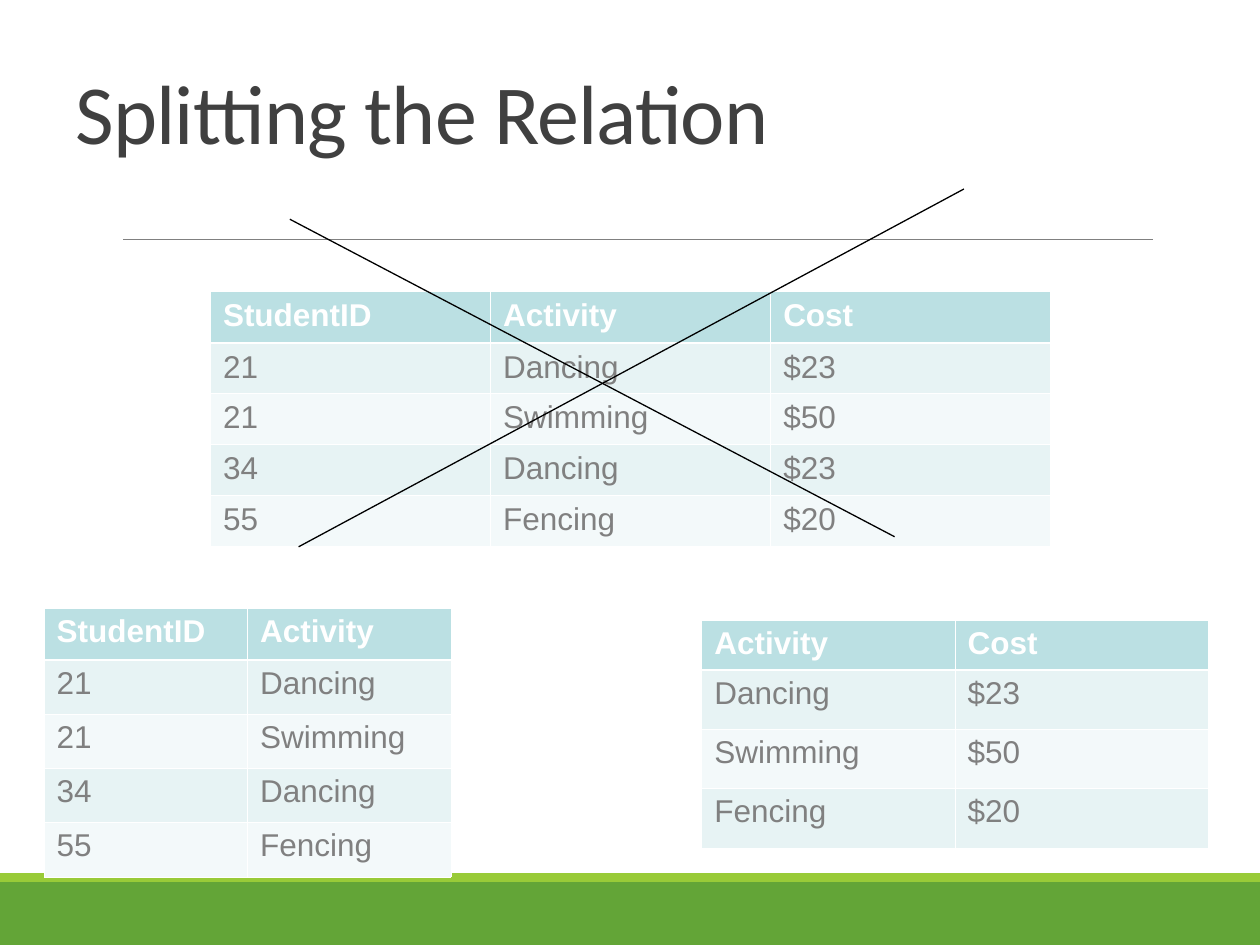
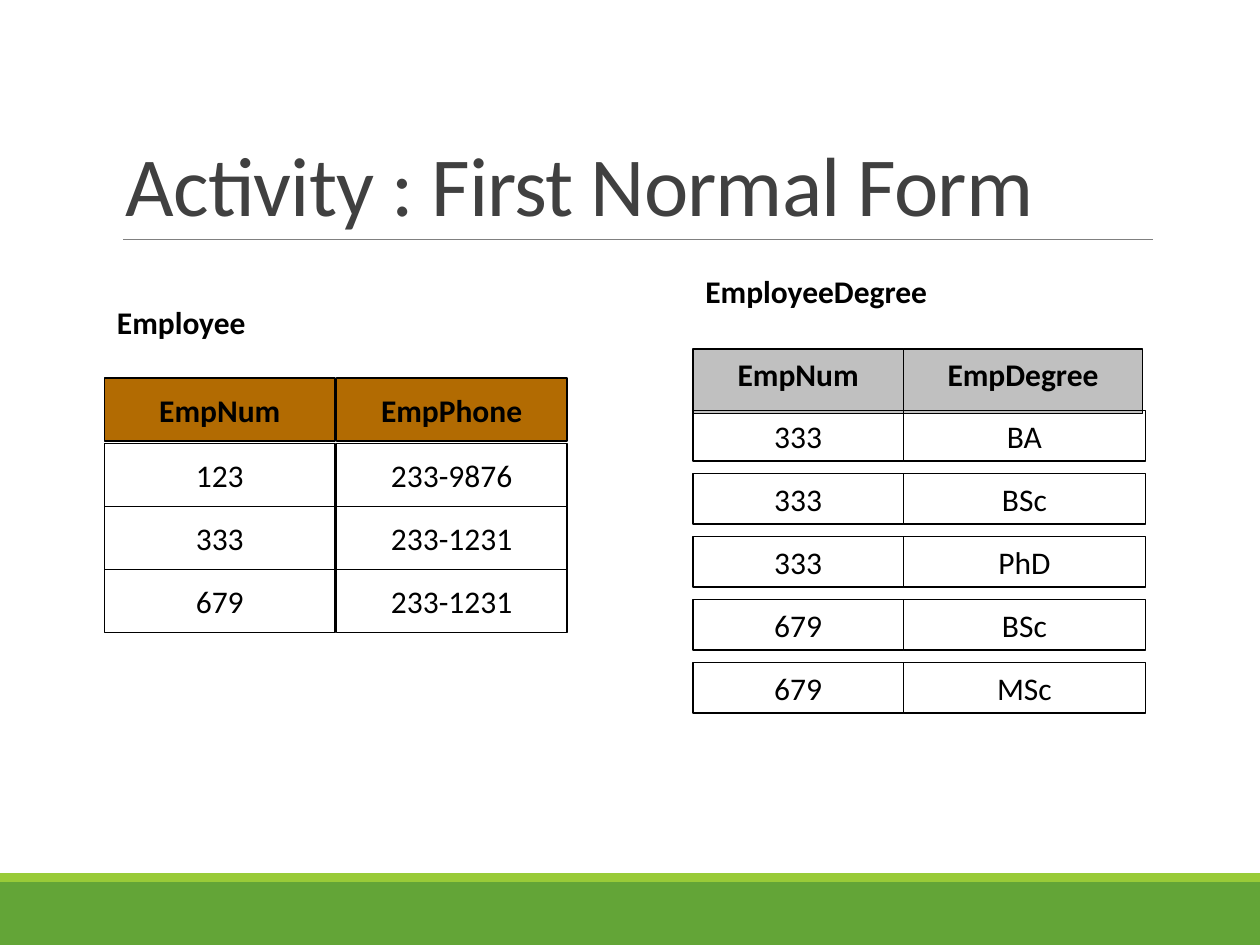
from dataclasses import dataclass
from lxml.etree import SubElement as Sub
from pptx import Presentation
from pptx.dml.color import RGBColor as RGB
from pptx.enum.shapes import MSO_CONNECTOR as Conn, MSO_SHAPE as Shape
from pptx.enum.text import MSO_ANCHOR as Anchor, PP_ALIGN as Align
from pptx.oxml import parse_xml
from pptx.oxml.ns import nsdecls, qn
from pptx.util import Inches, Pt


@dataclass(frozen=True)
class Theme:
    green: str = "63A537"
    lime: str = "99CB38"
    rule: str = "808080"
    title: str = "404040"
    ink: str = "000000"
    white: str = "FFFFFF"
    head: str = "BBE0E3"
    odd: str = "E7F3F4"
    even: str = "F3F9FA"
    grey: str = "C0C0C0"
    brown: str = "B26B02"
    sans: str = "Calibri"
    grid: str = "Arial"
    big: int = 48
    body: int = 18


look = Theme()


def write(frame, text, font=look.sans, size=look.body, color=look.ink, bold=False,
          align=Align.LEFT, anchor=Anchor.TOP, space=1.0, track=0):
    frame.word_wrap = True
    frame.vertical_anchor = anchor
    para = frame.paragraphs[0]
    para.alignment = align
    para.line_spacing = space
    run = para.add_run()
    run.text = text
    run.font.name = font
    run.font.size = Pt(size)
    run.font.bold = bold
    run.font.color.rgb = RGB.from_string(color)
    if track:
        run.font._element.set("spc", str(track))


def draw(slide, ends, color, width):
    line = slide.shapes.add_connector(Conn.STRAIGHT, *map(Inches, ends))
    line.line.color.rgb = RGB.from_string(color)
    line.line.width = Pt(width)
    Sub(line._element.spPr, qn("a:effectLst"))


deck = Presentation()
deck.slide_width, deck.slide_height = Inches(10), Inches(7.5)

heads = [
    ("Splitting the Relation", (0.5, 0.3, 9, 1.03)),
    ("Activity : First Normal Form", (0.9, 0.31, 8.25, 1.59)),
]
bands = [(7, 0.5, look.green), (6.93, 0.07, look.lime)]
slides = []
for title, spot in heads:
    slide = deck.slides.add_slide(deck.slide_layouts[6])
    slides.append(slide)
    for top, high, color in bands:
        band = slide.shapes.add_shape(Shape.RECTANGLE, 0, Inches(top), Inches(10), Inches(high))
        band.shadow.inherit = False
        band.fill.solid()
        band.fill.fore_color.rgb = RGB.from_string(color)
        band.line.fill.background()
    draw(slide, (0.98, 1.9, 9.15, 1.9), look.rule, 0.5)
    box = slide.shapes.add_textbox(*map(Inches, spot))
    write(box.text_frame, title, size=look.big, color=look.title,
          anchor=Anchor.BOTTOM, space=0.85, track=-50)

split, normal = slides

pairs = [("21", "Dancing"), ("21", "Swimming"), ("34", "Dancing"), ("55", "Fencing")]
costs = {"Dancing": "$23", "Swimming": "$50", "Fencing": "$20"}
whole = [("StudentID", "Activity", "Cost")] + [(who, act, costs[act]) for who, act in pairs]
tables = [
    (whole, (1.67, 2.31, 6.67), 0.41, 0.405, 0.07),
    ([("StudentID", "Activity")] + pairs, (0.35, 4.83, 3.23), 0.41, 0.43, 0.06),
    ([("Activity", "Cost")] + list(costs.items()), (5.57, 4.92, 4.02), 0.4, 0.47, 0.06),
]
for rows, (left, top, wide), first, step, pad in tables:
    high = first + step * (len(rows) - 1)
    table = split.shapes.add_table(len(rows), len(rows[0]), Inches(left), Inches(top),
                                   Inches(wide), Inches(high)).table
    for col in table.columns:
        col.width = Inches(wide / len(rows[0]))
    for r, row in enumerate(rows):
        table.rows[r].height = Inches(step if r else first)
        fill = look.head if r == 0 else look.odd if r % 2 else look.even
        for c, text in enumerate(row):
            cell = table.cell(r, c)
            cell.margin_top = Inches(pad)
            cell.fill.solid()
            cell.fill.fore_color.rgb = RGB.from_string(fill)
            write(cell.text_frame, text, font=look.grid, bold=r == 0, space=0.94,
                  color=look.rule if r else look.white)
            edges = {"L": 0.45, "R": 0.45, "T": 1.47 if r == 1 else 0.45,
                     "B": 0.45 if r else 1.47}
            for i, (side, width) in enumerate(edges.items()):
                cell._tc.tcPr.insert(i, parse_xml(
                    f'<a:ln{side} {nsdecls("a")} w="{Pt(width)}"><a:solidFill>'
                    f'<a:srgbClr val="{look.white}"/></a:solidFill></a:ln{side}>'))

for ends in [(7.65, 1.5, 2.37, 4.34), (2.3, 1.74, 7.1, 4.26)]:
    draw(split, ends, look.ink, 0.75)

phones = [("EmpNum", "EmpPhone"), ("123", "233-9876"), ("333", "233-1231"), ("679", "233-1231")]
ranks = [("EmpNum", "EmpDegree"), ("333", "BA"), ("333", "BSc"), ("333", "PhD"),
         ("679", "BSc"), ("679", "MSc")]
grids = [
    (ranks, (5.5, 7.17), (1.67, 1.9), (1.67, 1.92), 2.77, 0.51, 3.26, 0.4,
     look.grey, Anchor.TOP),
    (phones, (0.83, 2.67), (1.83, 1.83), (1.83, 1.83), 3, 0.5, 3.52, 0.5,
     look.brown, Anchor.MIDDLE),
]
for rows, lefts, caps, wides, top, tall, start, high, color, anchor in grids:
    for r, row in enumerate(rows):
        for c, text in enumerate(row):
            spot = ((lefts[c], start + 0.5 * (r - 1), wides[c], high) if r
                    else (lefts[c], top, caps[c], tall))
            box = normal.shapes.add_shape(Shape.RECTANGLE, *map(Inches, spot))
            box.shadow.inherit = False
            box.line.color.rgb = RGB.from_string(look.ink)
            box.line.width = Pt(0.75)
            if r:
                box.fill.background()
            else:
                box.fill.solid()
                box.fill.fore_color.rgb = RGB.from_string(color)
            write(box.text_frame, text, bold=r == 0, align=Align.CENTER, anchor=anchor)

names = [("Employee", (0.83, 2.36, 1.61, 0.5)), ("EmployeeDegree", (5.5, 2.11, 2.61, 0.5))]
for name, spot in names:
    box = normal.shapes.add_textbox(*map(Inches, spot))
    write(box.text_frame, name, bold=True)

deck.save("out.pptx")
